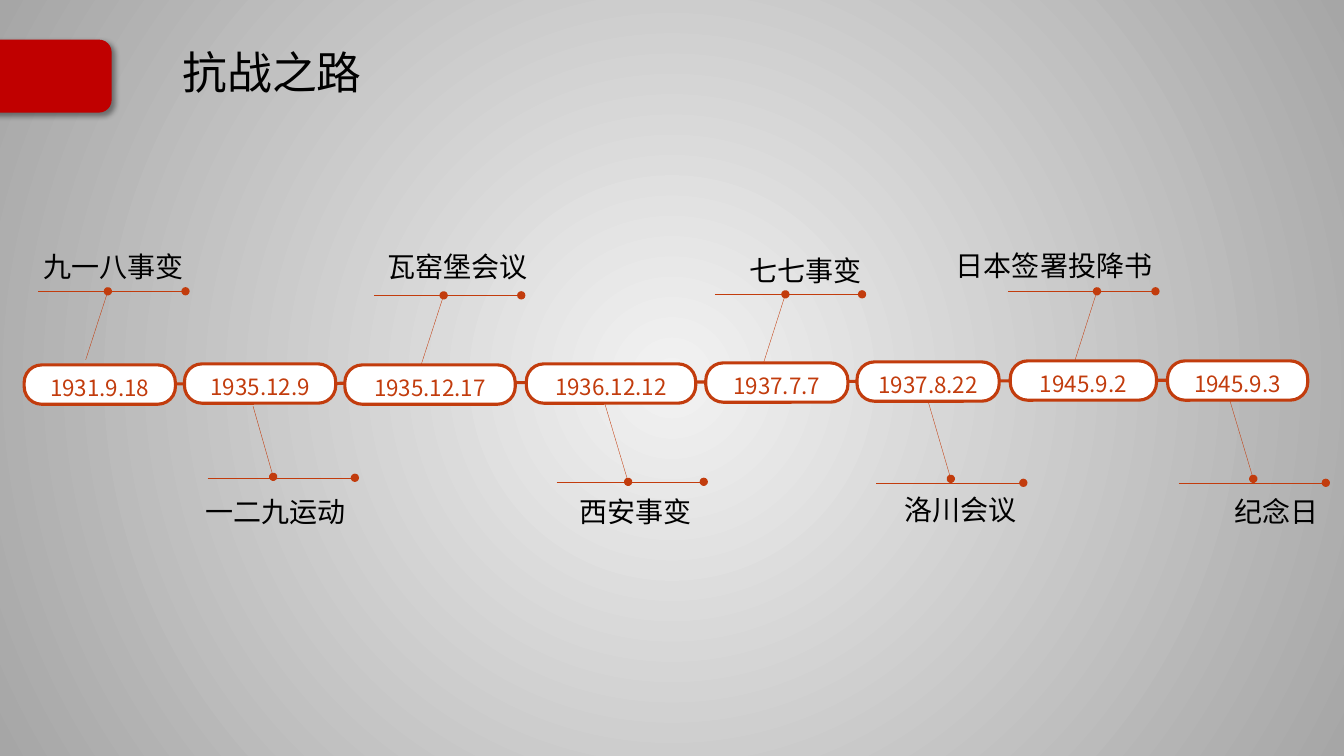
from lxml import etree
from pptx import Presentation
from pptx.dml.color import RGBColor
from pptx.enum.shapes import MSO_CONNECTOR, MSO_SHAPE
from pptx.enum.text import MSO_ANCHOR, MSO_AUTO_SIZE, PP_ALIGN
from pptx.oxml import parse_xml
from pptx.oxml.ns import nsdecls, qn
from pptx.util import Inches, Pt

COLORS = {"red": "C00000", "rust": "C23C0D", "white": "FFFFFF", "black": "000000",
          "center": "F2F2F2", "edge": "A6A6A6"}
RGB = {name: RGBColor.from_string(value) for name, value in COLORS.items()}

EVENTS = [
    ("1931.9.18", (0.24, 3.62, 1.5), "九一八事变", (0.23, 2.43, 1.79),
     (0.85, 3.57, 1.07, 2.89), (0.38, 2.89)),
    ("1935.12.9", (1.83, 3.61, 1.5), "一二九运动", (1.84, 4.86, 1.79),
     (2.51, 4.03, 2.71, 4.73), (2.06, 4.74)),
    ("1935.12.17", (3.42, 3.62, 1.69), "瓦窑堡会议", (3.64, 2.43, 1.79),
     (4.18, 3.61, 4.4, 2.93), (3.71, 2.93)),
    ("1936.12.12", (5.22, 3.61, 1.68), "西安事变", (5.41, 4.86, 1.79),
     (6, 4.01, 6.23, 4.78), (5.52, 4.78)),
    ("1937.7.7", (7, 3.6, 1.41), "七七事变", (7.09, 2.47, 1.79),
     (7.57, 3.61, 7.79, 2.92), (7.09, 2.92)),
    ("1937.8.22", (8.5, 3.59, 1.41), "洛川会议", (8.63, 4.84, 1.79),
     (9.2, 3.98, 9.43, 4.75), (8.69, 4.79)),
    ("1945.9.2", (10.02, 3.58, 1.45), "日本签署投降书", (9.34, 2.42, 2.23),
     (10.66, 3.58, 10.88, 2.89), (10, 2.89)),
    ("1945.9.3", (11.58, 3.58, 1.39), "纪念日", (11.77, 4.86, 1.79),
     (12.2, 3.98, 12.43, 4.75), (11.69, 4.79)),
]
PILL_HEIGHT = 0.39
RULE_LENGTH = 1.46

deck = Presentation()
deck.slide_width, deck.slide_height = Inches(13.33), Inches(7.5)
slide = deck.slides.add_slide(deck.slide_layouts[5])


def write(paragraph, text, size, color, font="Noto Sans CJK SC"):
    run = paragraph.add_run()
    run.text = text
    run.font.size = Pt(size)
    run.font.color.rgb = RGB[color]
    run.font.name = font
    etree.SubElement(run.font._element, qn("a:ea")).set("typeface", font)


def draw_line(x1, y1, x2, y2, width, dotted=True):
    line = slide.shapes.add_connector(
        MSO_CONNECTOR.STRAIGHT, Inches(x1), Inches(y1), Inches(x2), Inches(y2))
    line.line.color.rgb = RGB["rust"]
    line.line.width = Pt(width)
    if dotted:
        etree.SubElement(line.line._get_or_add_ln(), qn("a:tailEnd")).set("type", "oval")
    etree.SubElement(line._element.spPr, qn("a:effectLst"))
    return line


backdrop = slide.background.fill
backdrop.gradient()
for stop, color in zip(backdrop.gradient_stops, ("center", "edge")):
    stop.color.rgb = RGB[color]
gradient = slide.element.find(".//" + qn("a:gradFill"))
gradient.replace(gradient.find(qn("a:lin")), parse_xml(
    f'<a:path {nsdecls("a")} path="circle">'
    '<a:fillToRect l="50000" t="50000" r="50000" b="50000"/></a:path>'))

red_tab = slide.shapes.add_shape(
    MSO_SHAPE.ROUNDED_RECTANGLE, Inches(-0.18), Inches(0.4), Inches(1.28), Inches(0.71))
red_tab.fill.solid()
red_tab.fill.fore_color.rgb = RGB["red"]
red_tab.line.color.rgb = RGB["red"]
red_tab.line.width = Pt(1)
red_tab._element.spPr.append(parse_xml(
    f'<a:effectLst {nsdecls("a")}>'
    f'<a:outerShdw blurRad="{Pt(4)}" dist="{Pt(3)}" dir="2700000" algn="tl" rotWithShape="0">'
    f'<a:srgbClr val="{COLORS["black"]}"><a:alpha val="40000"/></a:srgbClr>'
    '</a:outerShdw></a:effectLst>'))

title = slide.shapes.title
title.left, title.top = Inches(1.71), Inches(0.45)
title.width, title.height = Inches(11.15), Inches(0.59)
title.text_frame.vertical_anchor = MSO_ANCHOR.MIDDLE
heading = title.text_frame.paragraphs[0]
heading.alignment = PP_ALIGN.LEFT
heading.line_spacing = 0.9
write(heading, "抗战之路", 32, "black", "Noto Sans CJK JP")

draw_line(1.47, 3.81, 12.22, 3.77, 2.25, dotted=False)

for date, (left, top, width), event, (label_x, label_y, label_w), leader, (rule_x, rule_y) in EVENTS:
    pill = slide.shapes.add_shape(
        MSO_SHAPE.ROUNDED_RECTANGLE, Inches(left), Inches(top), Inches(width), Inches(PILL_HEIGHT))
    pill.adjustments[0] = 0.444
    pill.shadow.inherit = False
    pill.fill.solid()
    pill.fill.fore_color.rgb = RGB["white"]
    pill.line.color.rgb = RGB["rust"]
    pill.line.width = Pt(2.25)
    pill.text_frame.vertical_anchor = MSO_ANCHOR.MIDDLE
    date_line = pill.text_frame.paragraphs[0]
    date_line.alignment = PP_ALIGN.CENTER
    date_line.line_spacing = 1.2
    write(date_line, date, 16, "rust")

    pointer = draw_line(*leader, 0.25)
    if abs(leader[0] - left - width / 2) < 0.02:
        pointer.begin_connect(pill, 2 if leader[3] > top else 0)
    draw_line(rule_x, rule_y, rule_x + RULE_LENGTH, rule_y, 0.25)

    label = slide.shapes.add_textbox(
        Inches(label_x), Inches(label_y), Inches(label_w), Inches(0.44))
    label.text_frame.word_wrap = True
    label.text_frame.auto_size = MSO_AUTO_SIZE.SHAPE_TO_FIT_TEXT
    event_line = label.text_frame.paragraphs[0]
    event_line.alignment = PP_ALIGN.CENTER
    write(event_line, event, 20, "black")

deck.save("out.pptx")
